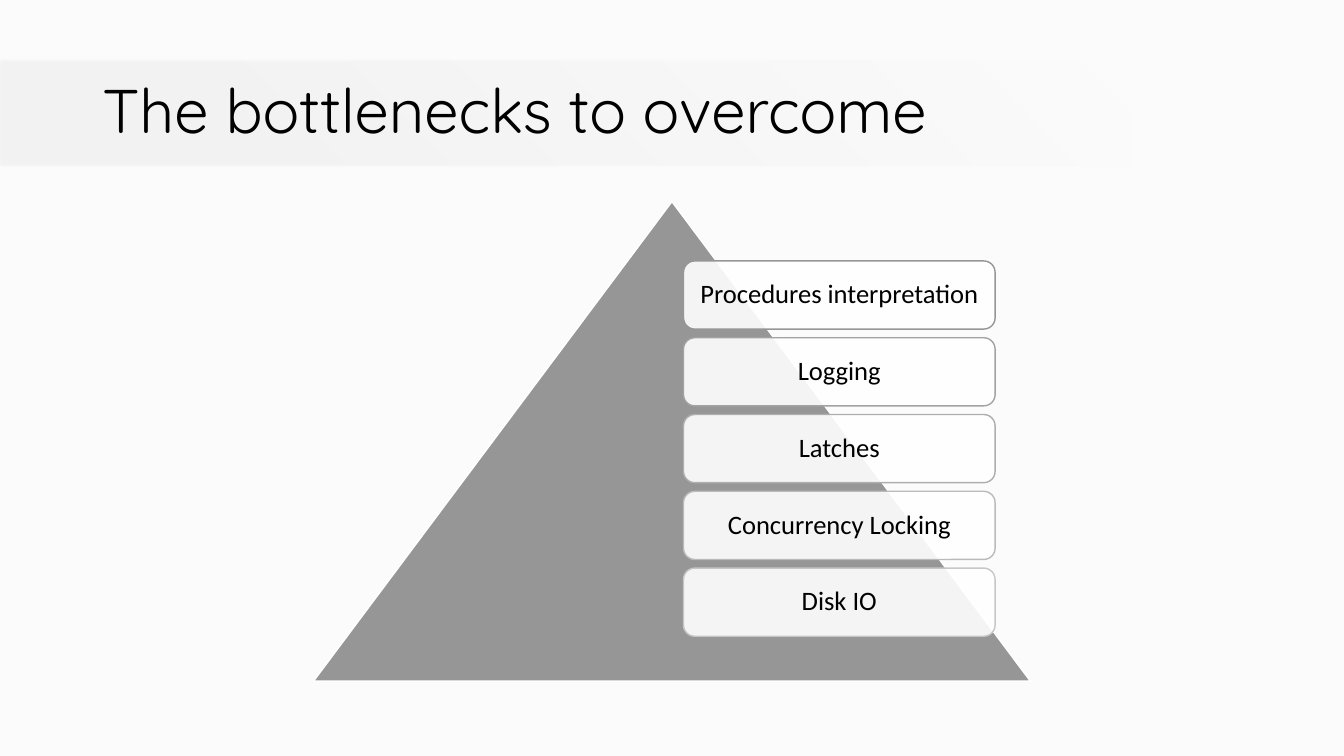
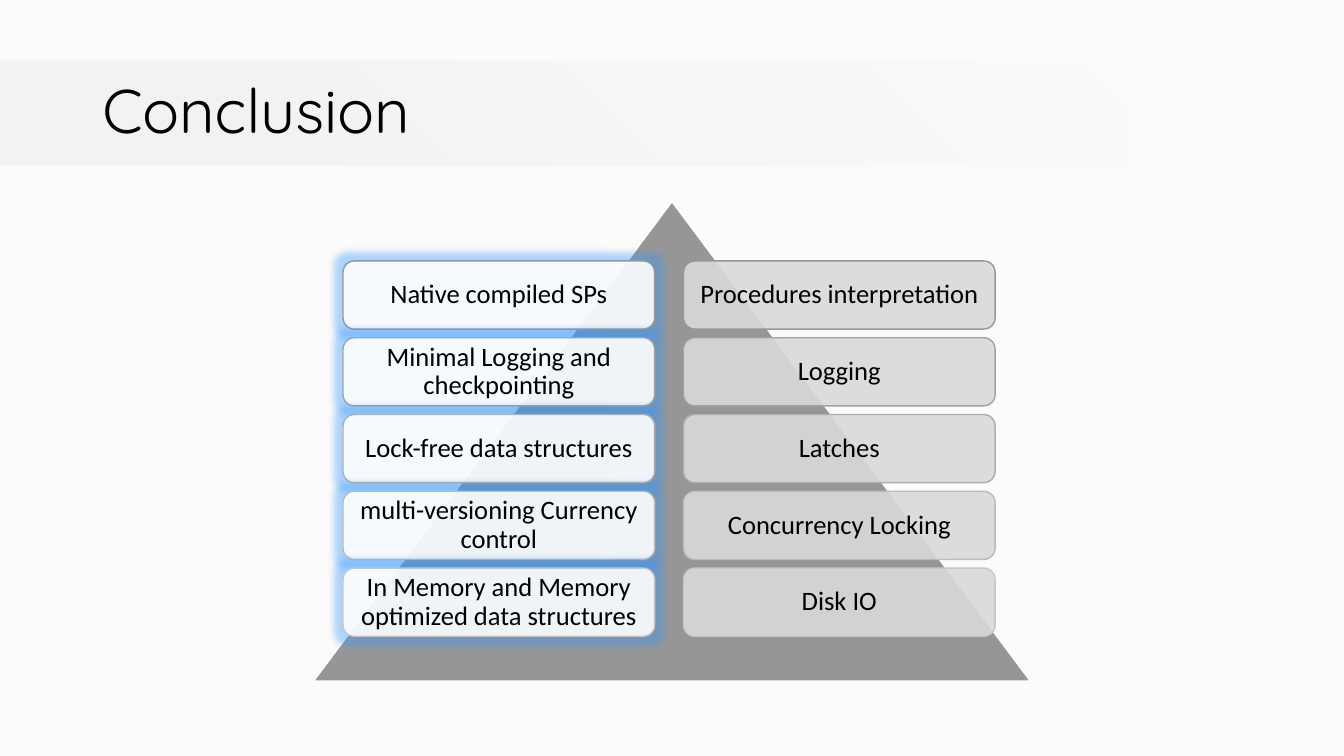
from dataclasses import dataclass

from lxml.etree import SubElement
from pptx import Presentation
from pptx.dml.color import RGBColor
from pptx.enum.shapes import MSO_SHAPE
from pptx.enum.text import MSO_ANCHOR, PP_ALIGN
from pptx.oxml.ns import qn
from pptx.util import Pt


@dataclass(frozen=True)
class Theme:
    background: str = "FBFBFB"
    band: str = "F2F2F2"
    pyramid: str = "969696"
    white: str = "FFFFFF"
    muted: str = "D9D9D9"
    glow: str = "3399FF"
    text: str = "000000"
    title_font: str = "Quicksand"
    body_font: str = "Calibri"
    title_size: int = 44
    body_size: int = 19


PROBLEMS = ["Procedures interpretation", "Logging", "Latches",
            "Concurrency Locking", "Disk IO"]
SOLUTIONS = ["Native compiled SPs", "Minimal Logging and checkpointing",
             "Lock-free data structures", "multi-versioning Currency control",
             "In Memory and Memory optimized data structures"]

LEFT_X, RIGHT_X = 245, 488.2
BOX_TOP, BOX_PITCH = 186.4, 54.85
BOX_W, BOX_H = 222.6, 48.7
BOX_INSET = 8
OUTLINE_STEP = 12


def rgb(color):
    return RGBColor.from_string(color)


def add_alpha(color_element, percent):
    SubElement(color_element, qn("a:alpha"), val=str(percent * 1000))


class Deck:
    def __init__(self, theme):
        self.theme = theme
        self.prs = Presentation()
        self.prs.slide_width, self.prs.slide_height = Pt(960), Pt(540)
        fill = self.prs.slide_master.background.fill
        fill.solid()
        fill.fore_color.rgb = rgb(theme.background)
        self.slide = None

    def new_slide(self, title):
        self.slide = self.prs.slides.add_slide(self.prs.slide_layouts[6])
        self.band()
        self.title(title)

    def shape(self, kind, x, y, w, h):
        s = self.slide.shapes.add_shape(kind, Pt(x), Pt(y), Pt(w), Pt(h))
        s.shadow.inherit = False
        return s

    def solid(self, s, color, line):
        s.fill.solid()
        s.fill.fore_color.rgb = rgb(color)
        s.line.color.rgb = line
        s.line.width = Pt(1)

    def set_text(self, s, text, font, size, align):
        tf = s.text_frame
        tf.word_wrap = True
        tf.vertical_anchor = MSO_ANCHOR.MIDDLE
        p = tf.paragraphs[0]
        p.text = text
        p.alignment = align
        p.line_spacing = 0.9
        p.font.name = font
        p.font.size = Pt(size)
        p.font.color.rgb = rgb(self.theme.text)
        return tf

    def band(self):
        """Title band that fades out radially from its bottom left corner."""
        s = self.shape(MSO_SHAPE.RECTANGLE, -1.4, 42.5, 809.3, 76.3)
        s.line.fill.background()
        s.fill.gradient()
        stops = [(0.24, self.theme.band), (1, self.theme.background)]
        for stop, (position, color) in zip(s.fill.gradient_stops, stops):
            stop.position = position
            stop.color.rgb = rgb(color)
        grad = s.element.spPr.find(qn("a:gradFill"))
        grad.remove(grad.find(qn("a:lin")))
        radial = SubElement(grad, qn("a:path"), {"path": "circle"})
        SubElement(radial, qn("a:fillToRect"), t="100000", r="100000")
        effects = s.element.spPr.find(qn("a:effectLst"))
        SubElement(effects, qn("a:softEdge"), rad=str(Pt(1)))

    def title(self, text):
        s = self.slide.shapes.add_textbox(Pt(66), Pt(28.8), Pt(828), Pt(104.4))
        self.set_text(s, text, self.theme.title_font, self.theme.title_size,
                      PP_ALIGN.LEFT)

    def pyramid(self):
        s = self.shape(MSO_SHAPE.ISOSCELES_TRIANGLE, 224, 144, 512, 342.5)
        self.solid(s, self.theme.pyramid, rgb(self.theme.white))

    def box(self, text, x, y, color, line, glow):
        s = self.shape(MSO_SHAPE.ROUNDED_RECTANGLE, x, y, BOX_W, BOX_H)
        self.solid(s, color, line)
        add_alpha(s.element.spPr.find(qn("a:solidFill"))[0], 90)
        if glow:
            self.glow(s)
        tf = self.set_text(s, text, self.theme.body_font, self.theme.body_size,
                           PP_ALIGN.CENTER)
        tf.margin_left = tf.margin_right = Pt(BOX_INSET)
        tf.margin_top = tf.margin_bottom = Pt(BOX_INSET)

    def glow(self, s):
        effects = s.element.spPr.find(qn("a:effectLst"))
        glow = SubElement(effects, qn("a:glow"), rad=str(Pt(11)))
        add_alpha(SubElement(glow, qn("a:srgbClr"), val=self.theme.glow), 40)

    def column(self, texts, x, color, glow=False):
        """Stack of boxes whose outlines get lighter downwards."""
        base = rgb(self.theme.pyramid)
        for i, text in enumerate(texts):
            line = RGBColor(*(c + i * OUTLINE_STEP for c in base))
            self.box(text, x, BOX_TOP + i * BOX_PITCH, color, line, glow)


def main():
    theme = Theme()
    deck = Deck(theme)

    deck.new_slide("The bottlenecks to overcome")
    deck.pyramid()
    deck.column(PROBLEMS, RIGHT_X, theme.white)

    deck.new_slide("Conclusion")
    deck.pyramid()
    deck.column(PROBLEMS, RIGHT_X, theme.muted)
    deck.column(SOLUTIONS, LEFT_X, theme.white, glow=True)

    deck.prs.save("out.pptx")


if __name__ == "__main__":
    main()
